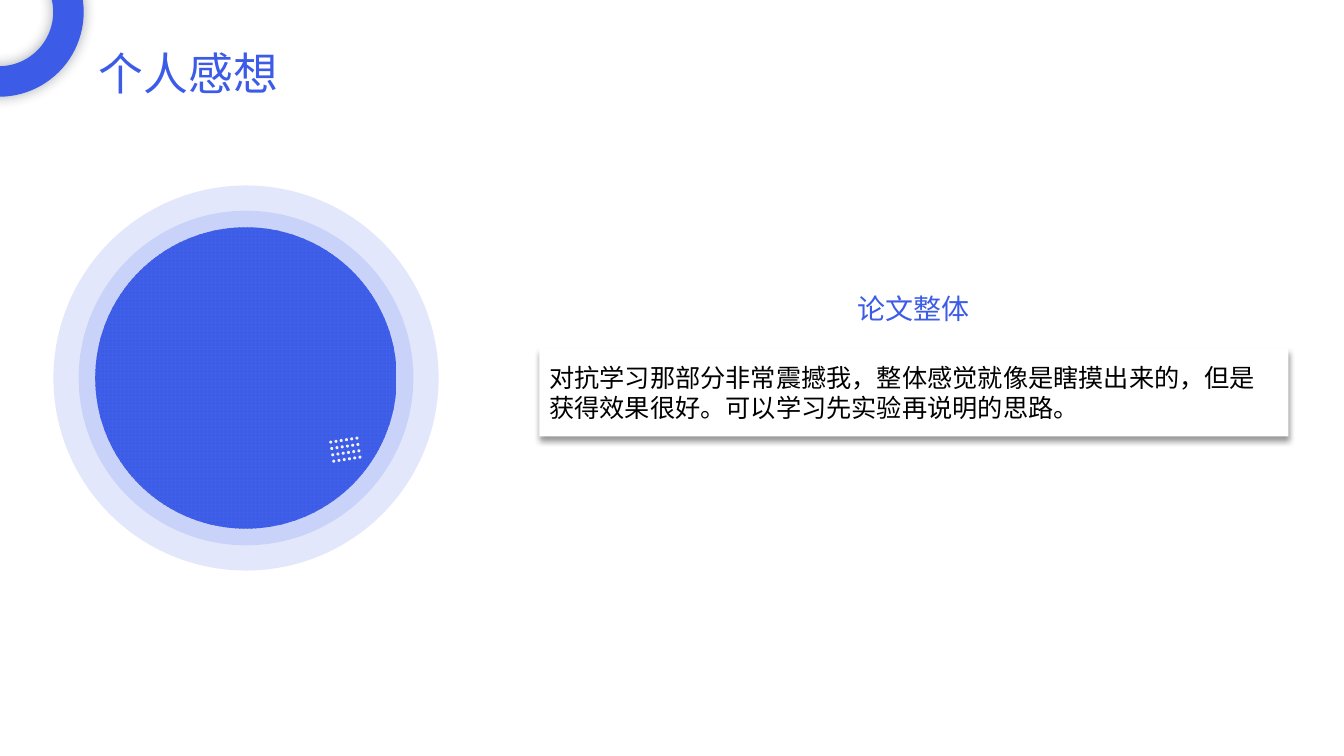
from itertools import product

from lxml import etree
from pptx import Presentation
from pptx.dml.color import RGBColor
from pptx.enum import dml, shapes, text
from pptx.oxml import ns
from pptx.util import Inches, Pt

BLUE = RGBColor(0x3C, 0x5C, 0xE8)
LIGHT_BLUE = RGBColor(0x40, 0x60, 0xE8)
DOT_GREY = RGBColor(0xF2, 0xF2, 0xF2)
SLATE = RGBColor(0x22, 0x2A, 0x35)
WHITE = RGBColor(0xFF, 0xFF, 0xFF)
BLACK = RGBColor(0, 0, 0)
FONT = "Noto Sans CJK SC"
TILT = 171.5


def add_child(parent, tag, **attributes):
    """Append a DrawingML element and return it."""
    child = etree.SubElement(parent, ns.qn(tag))
    for name, value in attributes.items():
        child.set(name, str(value))
    return child


def add_plain(parent, kind, left, top, width, height, color):
    """Draw a borderless filled preset shape without a shadow."""
    plain = parent.shapes.add_shape(
        kind, Inches(left), Inches(top), Inches(width), Inches(height))
    plain.shadow.inherit = False
    plain.fill.solid()
    plain.fill.fore_color.rgb = color
    plain.line.fill.background()
    return plain


def add_disc(parent, center, diameter, color):
    """Draw a tilted circle around a center point."""
    left, top = (c - diameter / 2 for c in center)
    disc = add_plain(parent, shapes.MSO_SHAPE.OVAL, left, top, diameter, diameter, color)
    disc.rotation = TILT
    return disc


def cast_shadow(shape, color, blur, distance):
    """Give a shape a soft shadow falling straight down."""
    effects = shape._element.spPr.find(ns.qn("a:effectLst"))
    outer = add_child(effects, "a:outerShdw", blurRad=Pt(blur), dist=Pt(distance),
                      dir=5400000, algn="ctr", rotWithShape=0)
    add_child(add_child(outer, "a:srgbClr", val=color), "a:alpha", val=40000)


def write(frame, words, size, color, align=text.PP_ALIGN.LEFT):
    """Write one run into the first paragraph and return the paragraph."""
    paragraph = frame.paragraphs[0]
    paragraph.alignment = align
    run = paragraph.add_run()
    run.text = words
    run.font.size = Pt(size)
    run.font.name = FONT
    run.font.color.rgb = color
    add_child(run._r.get_or_add_rPr(), "a:ea", typeface=FONT)
    return paragraph


def add_label(slide, left, top, width, height, words, size, align, wrap):
    """Add a blue text box."""
    box = slide.shapes.add_textbox(Inches(left), Inches(top), Inches(width), Inches(height))
    box.text_frame.word_wrap = wrap
    box.text_frame.auto_size = text.MSO_AUTO_SIZE.SHAPE_TO_FIT_TEXT
    write(box.text_frame, words, size, BLUE, align)


def add_emblem(slide):
    """Draw the gridded disc, its two translucent halos and the dot grid."""
    emblem = slide.shapes.add_group_shape()
    center = (2.44, 3.75)
    core = add_disc(emblem, center, 2.99, BLUE)
    core.fill.patterned()
    core.fill.pattern = dml.MSO_PATTERN.LARGE_GRID
    core.fill.fore_color.rgb = LIGHT_BLUE
    core.fill.back_color.rgb = BLUE
    for diameter in (3.82, 3.32):
        halo = add_disc(emblem, center, diameter, LIGHT_BLUE)
        tint = halo._element.spPr.find(".//" + ns.qn("a:srgbClr"))
        add_child(tint, "a:alpha", val=15000)
    for row, column in product(range(4), range(6)):
        dot = (3.31 + 0.052 * column - 0.01 * row, 4.575 - 0.008 * column - 0.063 * row)
        add_disc(emblem, dot, 0.03, DOT_GREY)


def add_corner_ring(slide):
    """Draw the ring cut off by the top left corner."""
    ring = add_plain(slide, shapes.MSO_SHAPE.DONUT, -0.85, -0.72, 1.68, 1.68, BLUE)
    ring.adjustments[0] = 0.18
    cast_shadow(ring, SLATE, 10, 0)


def add_comment_card(slide, words):
    """Draw the white card that holds the comment."""
    card = add_plain(slide, shapes.MSO_SHAPE.RECTANGLE, 5.35, 3.45, 7.43, 0.88, WHITE)
    cast_shadow(card, BLACK, 4, 3)
    card.text_frame.word_wrap = True
    card.text_frame.vertical_anchor = text.MSO_ANCHOR.MIDDLE
    comment = write(card.text_frame, words, 18, BLACK)
    comment.space_before = comment.space_after = Pt(9)


def main():
    """Build the slide of personal thoughts and save it."""
    deck = Presentation()
    deck.slide_width, deck.slide_height = Inches(13.33), Inches(7.5)
    slide = deck.slides.add_slide(deck.slide_layouts[6])
    add_emblem(slide)
    add_corner_ring(slide)
    add_label(slide, 0.88, 0.4, 8.28, 0.64, "个人感想", 32, text.PP_ALIGN.LEFT, True)
    add_comment_card(slide, "对抗学习那部分非常震撼我，整体感觉就像是瞎摸出来的，"
                            "但是获得效果很好。可以学习先实验再说明的思路。")
    add_label(slide, 8.4, 2.84, 1.32, 0.44, "论文整体", 20, text.PP_ALIGN.CENTER, False)
    deck.save("out.pptx")


if __name__ == "__main__":
    main()
